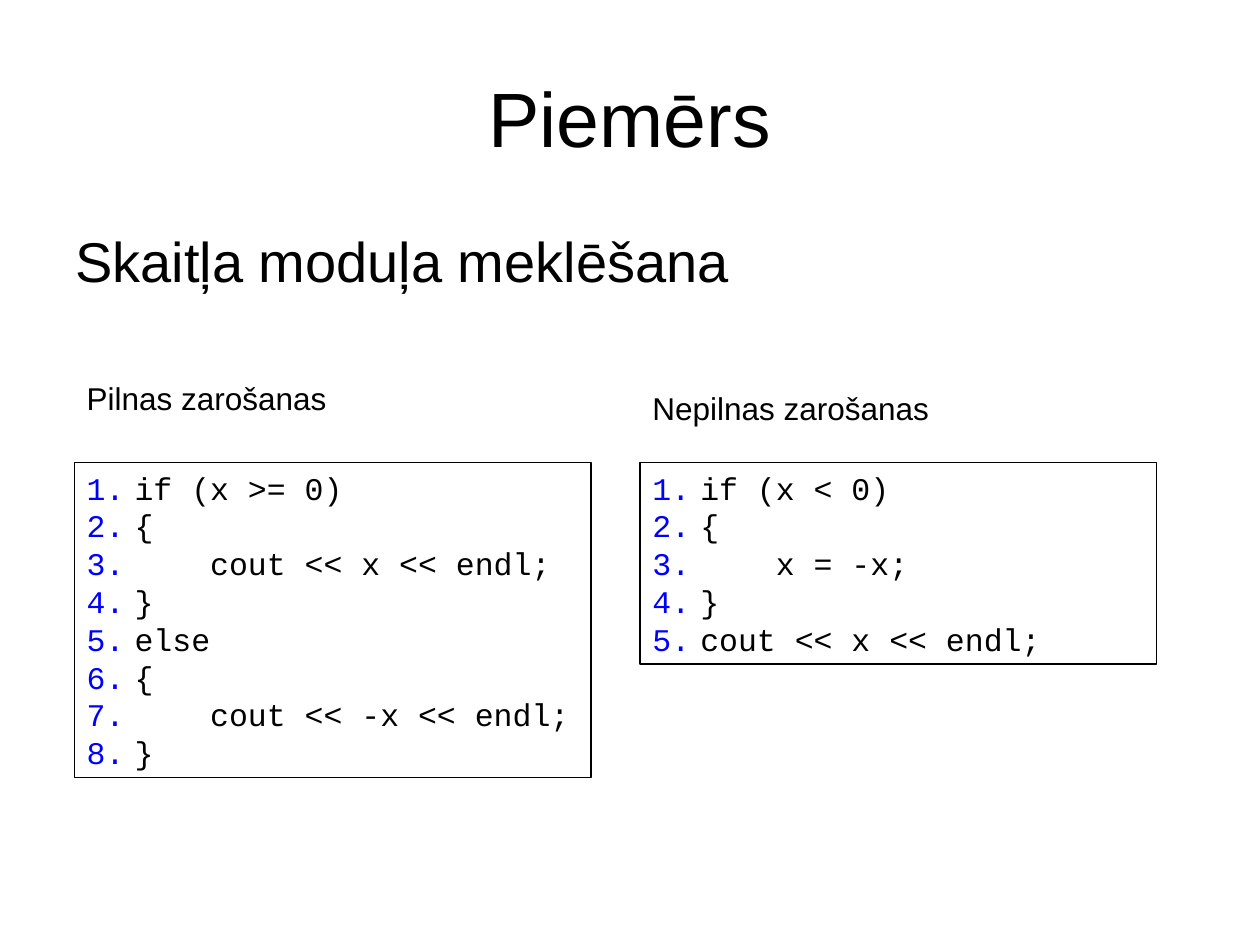
from lxml.etree import SubElement
from pptx import Presentation
from pptx.dml.color import RGBColor
from pptx.enum.shapes import MSO_SHAPE as Shape
from pptx.enum.text import MSO_ANCHOR as Anchor, PP_ALIGN as Align
from pptx.oxml.ns import qn
from pptx.util import Inches, Pt

COLORS = {"text": "000000", "number": "0000FF", "border": "000000"}
NUMBER_INDENT = Inches(0.38)
LINE_HEIGHT = 0.3
CODE_PADDING = 0.1
COLUMN_WIDTH = 4.1
CODE_TOP = 3.67
COLUMNS = [
    {
        "left": 0.59,
        "label_top": 2.96,
        "label": "Pilnas zarošanas",
        "code": """if (x >= 0)
{
    cout << x << endl;
}
else
{
    cout << -x << endl;
}""",
    },
    {
        "left": 5.08,
        "label_top": 3.04,
        "label": "Nepilnas zarošanas",
        "code": """if (x < 0)
{
    x = -x;
}
cout << x << endl;""",
    },
]


def number_paragraph(paragraph):
    """Give a paragraph a coloured automatic number and a hanging indent."""
    properties = paragraph._p.get_or_add_pPr()
    properties.set("marL", str(NUMBER_INDENT))
    properties.set("indent", str(-NUMBER_INDENT))
    color = SubElement(properties, qn("a:buClr"))
    SubElement(color, qn("a:srgbClr"), val=COLORS["number"])
    SubElement(properties, qn("a:buFont"), typeface="Courier New")
    SubElement(properties, qn("a:buAutoNum"), type="arabicPeriod")


def write_text(shape, text, size=18, font="Arial", align=Align.LEFT,
               anchor=Anchor.TOP, numbered=False):
    """Fill a shape with one paragraph for each line of text."""
    frame = shape.text_frame
    frame.word_wrap = True
    frame.vertical_anchor = anchor
    frame.text = text
    for paragraph in frame.paragraphs:
        if numbered:
            number_paragraph(paragraph)
        paragraph.alignment = align
        paragraph.font.size = Pt(size)
        paragraph.font.name = font
        paragraph.font.color.rgb = RGBColor.from_string(COLORS["text"])


def add_text(slide, text, left, top, width, height, **text_format):
    """Place a text box, with its box in inches."""
    box = slide.shapes.add_textbox(
        Inches(left), Inches(top), Inches(width), Inches(height))
    write_text(box, text, **text_format)


def add_heading(slide, left, top, width):
    """Place the title and the topic below it."""
    add_text(slide, "Piemērs", left, top, width, 1.25,
             size=44, align=Align.CENTER, anchor=Anchor.MIDDLE)
    add_text(slide, "Skaitļa moduļa meklēšana", left, top + 1.45, width, 0.66, size=32)


def add_code(slide, code, left, top, width):
    """Place a bordered listing whose height follows its line count."""
    height = CODE_PADDING + LINE_HEIGHT * len(code.splitlines())
    shape = slide.shapes.add_shape(
        Shape.RECTANGLE, Inches(left), Inches(top), Inches(width), Inches(height))
    shape.shadow.inherit = False
    shape.fill.background()
    shape.line.color.rgb = RGBColor.from_string(COLORS["border"])
    shape.line.width = Pt(0.75)
    write_text(shape, code, font="Courier New", numbered=True)


def add_column(slide, left, label_top, label, code):
    """Place one labelled code example."""
    add_text(slide, label, left, label_top, COLUMN_WIDTH, 0.4)
    add_code(slide, code, left, CODE_TOP, COLUMN_WIDTH)


def main():
    """Build and save the slide."""
    presentation = Presentation()
    presentation.slide_width = Inches(10)
    presentation.slide_height = Inches(7.5)
    slide = presentation.slides.add_slide(presentation.slide_layouts[6])
    add_heading(slide, 0.5, 0.3, 9)
    for column in COLUMNS:
        add_column(slide, **column)
    presentation.save("out.pptx")


if __name__ == "__main__":
    main()
